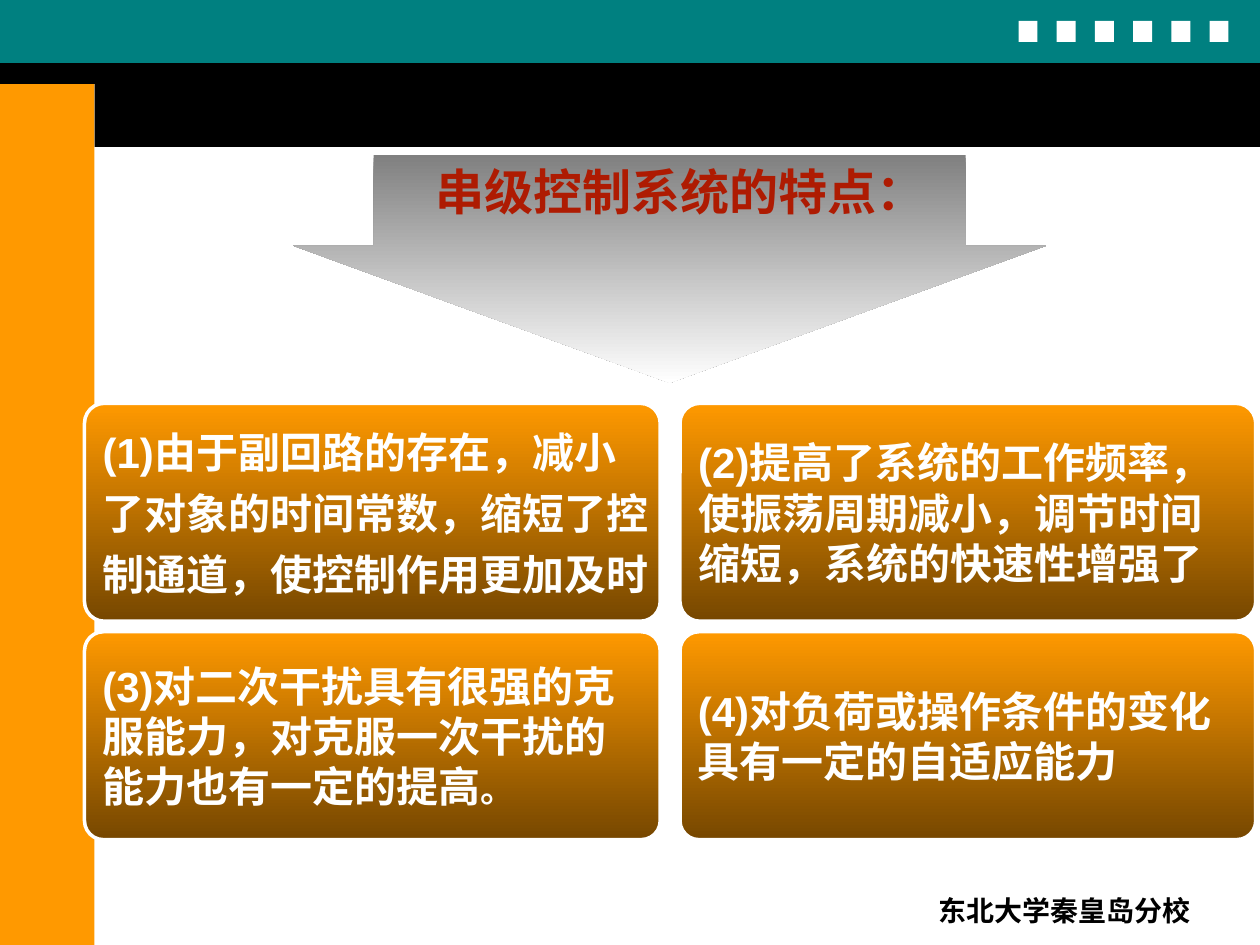
from dataclasses import dataclass

from pptx import Presentation
from pptx.dml.color import RGBColor
from pptx.enum.shapes import MSO_SHAPE
from pptx.enum.text import MSO_ANCHOR, PP_ALIGN
from pptx.util import Pt


@dataclass(frozen=True)
class Theme:
    teal: str = "008080"
    orange: str = "FF9900"
    brown: str = "764700"
    black: str = "000000"
    white: str = "FFFFFF"
    gray: str = "808080"
    red: str = "AE1B02"
    sans: str = "Arial"
    serif: str = "Times New Roman"
    title: int = 28
    body: int = 24
    stop: int = 20
    footer: int = 16


class Deck:
    def __init__(self, slide, theme):
        self.s = slide
        self.t = theme

    def shape(self, kind, x, y, w, h, adjustments=()):
        sp = self.s.shapes.add_shape(kind, Pt(x), Pt(y), Pt(w), Pt(h))
        sp.shadow.inherit = False
        sp.line.fill.background()
        for i, value in enumerate(adjustments):
            sp.adjustments[i] = value
        return sp

    def rect(self, x, y, w, h, color):
        sp = self.shape(MSO_SHAPE.RECTANGLE, x, y, w, h)
        sp.fill.solid()
        sp.fill.fore_color.rgb = RGBColor.from_string(color)

    def gradient(self, sp, angle, *colors):
        sp.fill.gradient()
        sp.fill.gradient_angle = angle
        for stop, color in zip(sp.fill.gradient_stops, colors):
            stop.color.rgb = RGBColor.from_string(color)

    def style(self, p, size, color, font, align):
        p.alignment = align
        p.font.size = Pt(size)
        p.font.bold = True
        p.font.name = font
        p.font.color.rgb = RGBColor.from_string(color)

    def arrow(self, x, y, w, h):
        sp = self.shape(MSO_SHAPE.RIGHT_ARROW, x + (w - h) / 2, y + (h - w) / 2,
                        h, w, (0.786, 0.602))
        sp.rotation = 90
        self.gradient(sp, 0, self.t.gray, self.t.white)

    def card(self, x, y, w, h, lines, gap=0):
        sp = self.shape(MSO_SHAPE.ROUNDED_RECTANGLE, x, y, w, h, (0.091,))
        self.gradient(sp, 270, self.t.orange, self.t.brown)
        sp.line.color.rgb = RGBColor.from_string(self.t.white)
        sp.line.width = Pt(2)
        tf = sp.text_frame
        tf.word_wrap = False
        tf.vertical_anchor = MSO_ANCHOR.MIDDLE
        for i, line in enumerate(lines):
            p = tf.add_paragraph() if i else tf.paragraphs[0]
            self.style(p, self.t.body, self.t.white, self.t.sans, PP_ALIGN.LEFT)
            if i:
                p.space_before = Pt(gap)
            p.add_run().text = line.removesuffix("。")
            if line.endswith("。"):
                r = p.add_run()
                r.text = "。"
                r.font.size = Pt(self.t.stop)

    def label(self, x, y, w, h, text, size, color, font, wrap):
        tf = self.s.shapes.add_textbox(Pt(x), Pt(y), Pt(w), Pt(h)).text_frame
        tf.word_wrap = wrap
        p = tf.paragraphs[0]
        p.text = text
        self.style(p, size, color, font, PP_ALIGN.CENTER)


def main():
    prs = Presentation()
    prs.slide_width, prs.slide_height = Pt(720), Pt(540)
    t = Theme()
    deck = Deck(prs.slides.add_slide(prs.slide_layouts[6]), t)

    deck.rect(0, 0, 720, 36, t.teal)
    deck.rect(0, 42, 54, 498, t.orange)
    deck.rect(54, 36, 666, 48, t.black)
    deck.rect(0, 36, 720, 12, t.black)
    for i in range(6):
        deck.rect(582 + 21.84 * i, 12, 10.8, 12, t.white)

    deck.label(507.6, 506.9, 201.6, 24, "东北大学秦皇岛分校",
               t.footer, t.black, t.serif, True)
    deck.arrow(167.4, 88.5, 430.5, 130.3)

    rows = [(230.5, 124.5), (361, 118.8)]
    columns = [48.3, 388.6]
    cards = [
        ["(1)由于副回路的存在，减小", "了对象的时间常数，缩短了控", "制通道，使控制作用更加及时"],
        ["(2)提高了系统的工作频率，", "使振荡周期减小，调节时间", "缩短，系统的快速性增强了"],
        ["(3)对二次干扰具有很强的克", "服能力，对克服一次干扰的", "能力也有一定的提高。"],
        ["(4)对负荷或操作条件的变化", "具有一定的自适应能力"],
    ]
    for i, lines in enumerate(cards):
        y, h = rows[i // 2]
        deck.card(columns[i % 2], y, 329, h, lines, gap=0 if i else 6)

    deck.label(241.9, 88.6, 293.8, 41, "串级控制系统的特点：",
               t.title, t.red, t.sans, False)
    prs.save("out.pptx")


if __name__ == "__main__":
    main()
